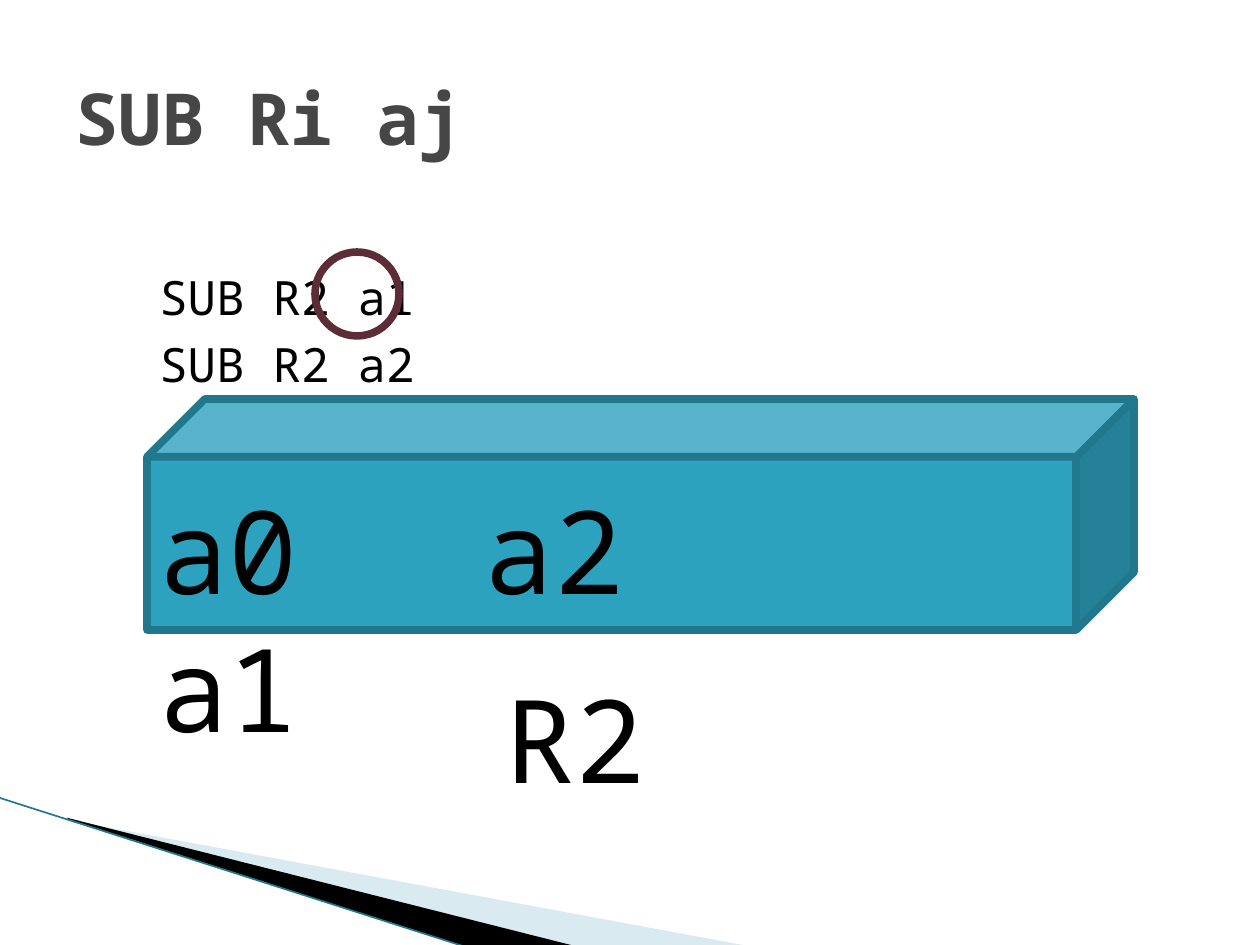
import dataclasses

import pptx
import pptx.dml.color
import pptx.enum.shapes
import pptx.enum.text
import pptx.oxml
import pptx.oxml.ns
import pptx.util

SHAPE = pptx.enum.shapes.MSO_SHAPE
FIT = pptx.enum.text.MSO_AUTO_SIZE
COLUMNS, ROWS = 120, 90


@dataclasses.dataclass(frozen=True)
class Theme:
    font: str = "Noto Sans Mono"
    title: str = "464646"
    ink: str = "000000"
    register: str = "2DA2BF"
    edge: str = "21788D"
    ring: str = "5C2C37"
    pale: str = "A0CBDC"
    title_size: float = 41
    code_size: float = 27
    label_size: float = 66
    outline: float = 4.33
    hairline: float = 0.95


THEME = Theme()


def color(value):
    return pptx.dml.color.RGBColor.from_string(value)


def cells(*counts):
    return [pptx.util.Inches(10 * count / COLUMNS) for count in counts]


def write(frame, text, size, ink=THEME.ink, bold=False):
    para = frame.paragraphs[0]
    para.alignment = pptx.enum.text.PP_ALIGN.LEFT
    span = para.add_run()
    span.text = text
    span.font.name = THEME.font
    span.font.size = pptx.util.Pt(size)
    span.font.bold = bold
    span.font.color.rgb = color(ink)


def add_text(page, text, area, size):
    box = page.shapes.add_textbox(*cells(*area))
    box.text_frame.word_wrap = True
    box.text_frame.auto_size = FIT.SHAPE_TO_FIT_TEXT
    write(box.text_frame, text, size)


def set_title(page, text, area):
    title = page.shapes.title
    title.left, title.top, title.width, title.height = cells(*area)
    title.text_frame.auto_size = FIT.NONE
    title.text_frame.vertical_anchor = pptx.enum.text.MSO_ANCHOR.MIDDLE
    write(title.text_frame, text, THEME.title_size, THEME.title, bold=True)


def add_outlined(page, kind, area, edge, fill=None):
    shape = page.shapes.add_shape(kind, *cells(*area))
    shape.shadow.inherit = False
    if fill:
        shape.fill.solid()
        shape.fill.fore_color.rgb = color(fill)
    else:
        shape.fill.background()
    shape.line.color.rgb = color(edge)
    shape.line.width = pptx.util.Pt(THEME.outline)


def add_wedge(page, points, fill, opacity=100):
    hundredths = [(round(x * 100), round(y * 100)) for x, y in points]
    builder = page.shapes.build_freeform(*hundredths[0], scale=pptx.util.Inches(0.01))
    builder.add_line_segments(hundredths[1:], close=True)
    wedge = builder.convert_to_shape()
    wedge.shadow.inherit = False
    wedge.fill.solid()
    wedge.fill.fore_color.rgb = color(fill)
    wedge.line.fill.background()
    if opacity < 100:
        tint = wedge.fill._xPr.find(".//" + pptx.oxml.ns.qn("a:srgbClr"))
        alpha = pptx.oxml.parse_xml(
            f'<a:alpha {pptx.oxml.ns.nsdecls("a")} val="{opacity * 1000}"/>')
        tint.append(alpha)


def add_line(page, start, end, ink, width):
    ends = [pptx.util.Inches(value) for value in (*start, *end)]
    line = page.shapes.add_connector(pptx.enum.shapes.MSO_CONNECTOR.STRAIGHT, *ends)
    line.line.color.rgb = color(ink)
    line.line.width = pptx.util.Pt(width)
    line._element.spPr.append(
        pptx.oxml.parse_xml(f'<a:effectLst {pptx.oxml.ns.nsdecls("a")}/>'))


def add_corner(page):
    add_wedge(page, [(0.55, 6.51), (5.95, 7.51), (4.56, 7.51), (0.55, 6.5)], THEME.pale, 40)
    add_wedge(page, [(0.53, 6.49), (4.57, 7.51), (3.72, 7.52), (0.54, 6.5)], THEME.ink)
    add_line(page, (-0.01, 6.33), (3.71, 7.52), THEME.edge, THEME.hairline)


def main():
    deck = pptx.Presentation()
    deck.slide_width, deck.slide_height = cells(COLUMNS, ROWS)
    page = deck.slides.add_slide(deck.slide_layouts[5])
    add_corner(page)
    set_title(page, "SUB Ri aj", (6, 3.6, 108, 15))
    add_outlined(page, SHAPE.CUBE, (14, 38, 94, 22), THEME.edge, THEME.register)
    for text, left, top, width in (("R2", 47, 63, 21), ("a0 a1", 14, 45, 32), ("a2", 45, 45, 16)):
        add_text(page, text, (left, top, width, 14.5), THEME.label_size)
    for row, text in enumerate(("SUB R2 a1", "SUB R2 a2")):
        add_text(page, text, (14, 25 + 6.35 * row, 39, 6.7), THEME.code_size)
    add_outlined(page, SHAPE.FLOWCHART_CONNECTOR, (30, 24, 8, 8), THEME.ring)
    deck.save("out.pptx")


main()
